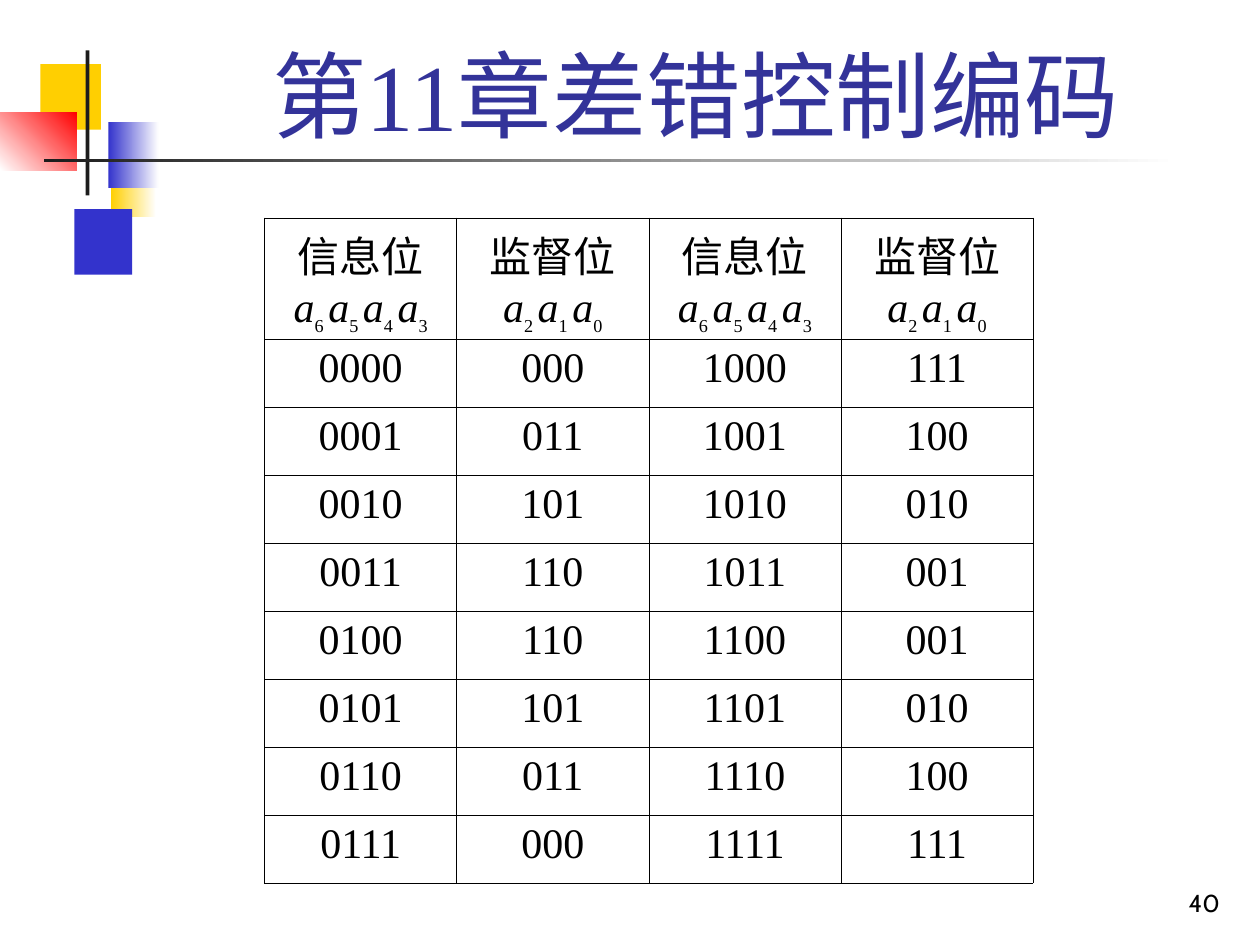
from lxml import etree
from pptx import Presentation
from pptx.dml.color import RGBColor
from pptx.enum.shapes import MSO_SHAPE
from pptx.enum.text import MSO_ANCHOR, PP_ALIGN
from pptx.oxml import parse_xml
from pptx.util import Inches, Pt

RECT = MSO_SHAPE.RECTANGLE
BOTTOM = MSO_ANCHOR.BOTTOM
CENTER, RIGHT = PP_ALIGN.CENTER, PP_ALIGN.RIGHT

WHITE = RGBColor(0xFF, 0xFF, 0xFF)
BLACK = RGBColor(0x00, 0x00, 0x00)
INK = RGBColor(0x1C, 0x1C, 0x1C)
YELLOW = RGBColor(0xFF, 0xCF, 0x01)
BLUE = RGBColor(0x33, 0x33, 0xCC)
RED = RGBColor(0xFF, 0x00, 0x00)
TITLE_BLUE = RGBColor(0x33, 0x33, 0x99)

SERIF = "Times New Roman"
DRAWING_NS = "http://schemas.openxmlformats.org/drawingml/2006/main"

prs = Presentation()
prs.slide_width, prs.slide_height = Inches(10), Inches(7.5)
s = prs.slides.add_slide(prs.slide_layouts[6])


def add_run(p, text, size=24, name=SERIF, color=BLACK, italic=False):
    r = p.add_run()
    r.text = text
    for key, value in {"size": Pt(size), "name": name, "italic": italic}.items():
        setattr(r.font, key, value)
    r.font.color.rgb = color
    return r


# Corner decoration, back to front: box, first colour, last colour, angle
decoration = [
    ((0.88, 1.2, 0.36, 0.52), YELLOW, WHITE, 0),
    ((0.59, 1.66, 0.46, 0.52), BLUE, None, 0),
    ((0.32, 0.51, 0.48, 0.52), YELLOW, None, 0),
    ((0.86, 0.97, 0.4, 0.52), BLUE, WHITE, 0),
    ((0, 0.89, 0.61, 0.46), WHITE, RED, 45),
    ((0.68, 0.4, 0.03, 1.15), INK, None, 0),
    ((0.35, 1.26, 9, 0.03), INK, WHITE, 0),
]
for box, first, last, angle in decoration:
    sp = s.shapes.add_shape(RECT, *map(Inches, box))
    sp.shadow.inherit = False
    sp.line.fill.background()
    if last is None:
        sp.fill.solid()
        sp.fill.fore_color.rgb = first
    else:
        sp.fill.gradient()
        sp.fill.gradient_angle = angle
        for stop, color in zip(sp.fill.gradient_stops, (first, last)):
            stop.color.rgb = color

# Page number and title
texts = [
    ((7.7, 6.83, 2.08, 0.5), "40", RIGHT, {"size": 14, "name": "Cabin"}),
    ((1.26, 0.23, 8.52, 1.01), "第11章差错控制编码", CENTER,
     {"size": 54, "color": TITLE_BLUE}),
]
for box, text, align, style in texts:
    tf = s.shapes.add_textbox(*map(Inches, box)).text_frame
    tf.word_wrap = True
    tf.vertical_anchor = BOTTOM
    tf.paragraphs[0].alignment = align
    add_run(tf.paragraphs[0], text, **style)

# Code table: each information word with its check bits, in two halves
HEADERS = [("信息位", "6543"), ("监督位", "210")] * 2
CHECKS = (0b1110, 0b1101, 0b1011)
HALF = 8
HEAD_H, ROW_H, COL_W = 0.96, 0.54, 1.525

words = []
for n in range(2 * HALF):
    parity = "".join(str((n & mask).bit_count() % 2) for mask in CHECKS)
    words.append([f"{n:04b}", parity])

table = s.shapes.add_table(
    HALF + 1, len(HEADERS), Inches(2.1), Inches(1.73),
    Inches(COL_W * len(HEADERS)), Inches(HEAD_H + HALF * ROW_H)).table
table.first_row = table.horz_banding = False
for column in table.columns:
    column.width = Inches(COL_W)
for i, row in enumerate(table.rows):
    row.height = Inches(ROW_H if i else HEAD_H)

for i in range(HALF + 1):
    for j, (heading, indices) in enumerate(HEADERS):
        cell = table.cell(i, j)
        tf = cell.text_frame
        p = tf.paragraphs[0]
        p.alignment = CENTER
        if i:
            add_run(p, (words[i - 1] + words[i - 1 + HALF])[j])
        else:
            add_run(p, heading)
            p = tf.add_paragraph()
            p.alignment = CENTER
            for index in indices:
                add_run(p, "a", italic=True)
                gap = "" if index == indices[-1] else " "
                r = add_run(p, index + gap, size=18)
                r.font._element.set("baseline", "-30000")

        tcPr = cell._tc.get_or_add_tcPr()
        for side in ("lnL", "lnR", "lnT", "lnB"):
            ln = parse_xml(f'<a:{side} xmlns:a="{DRAWING_NS}"/>')
            ln.set("w", str(Pt(0.45)))
            fill = etree.SubElement(ln, f"{{{DRAWING_NS}}}solidFill")
            etree.SubElement(fill, f"{{{DRAWING_NS}}}srgbClr", val=str(BLACK))
            tcPr.append(ln)
        if j % 2:
            cell.fill.solid()
            cell.fill.fore_color.rgb = WHITE
        else:
            cell.fill.background()

prs.save("out.pptx")
